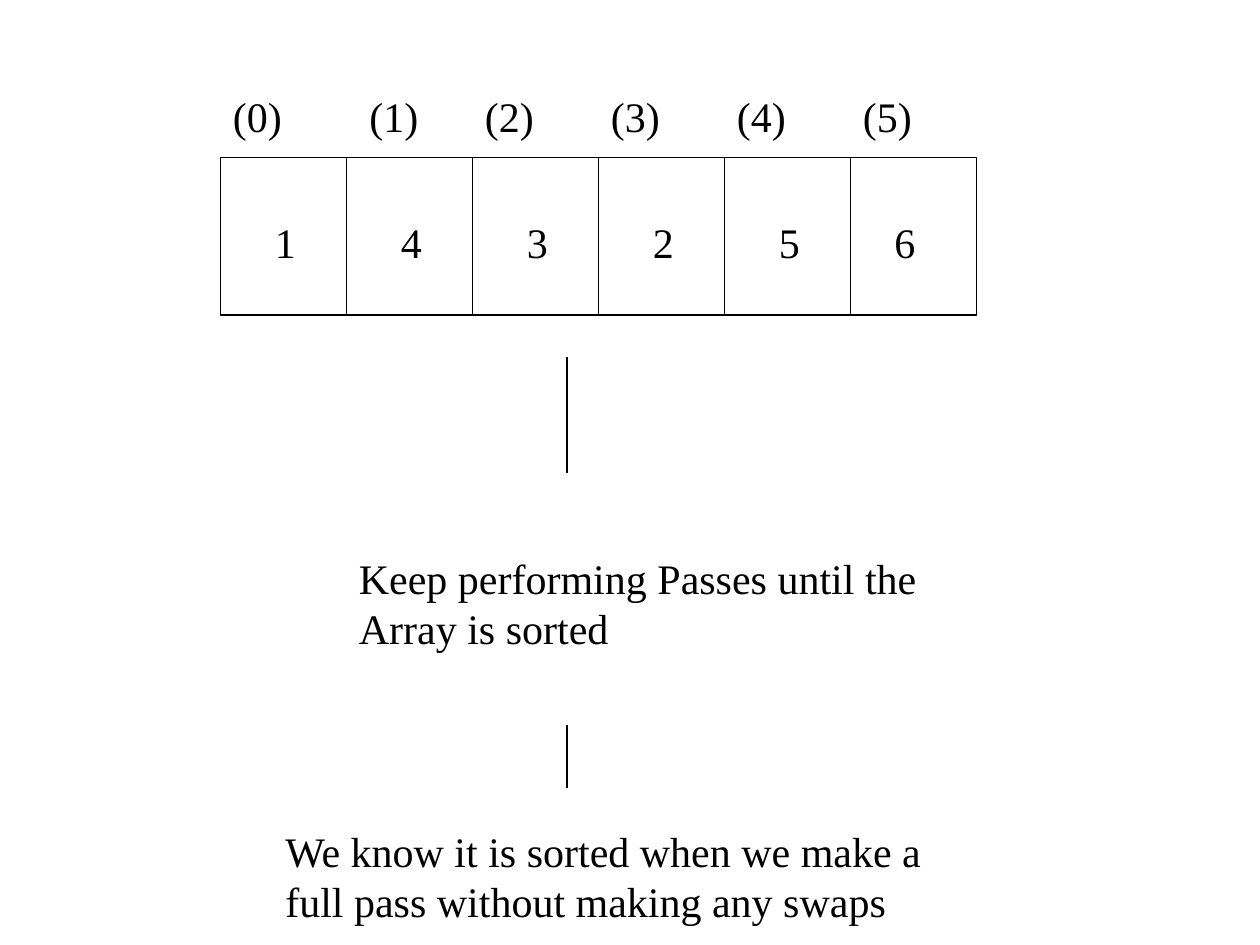
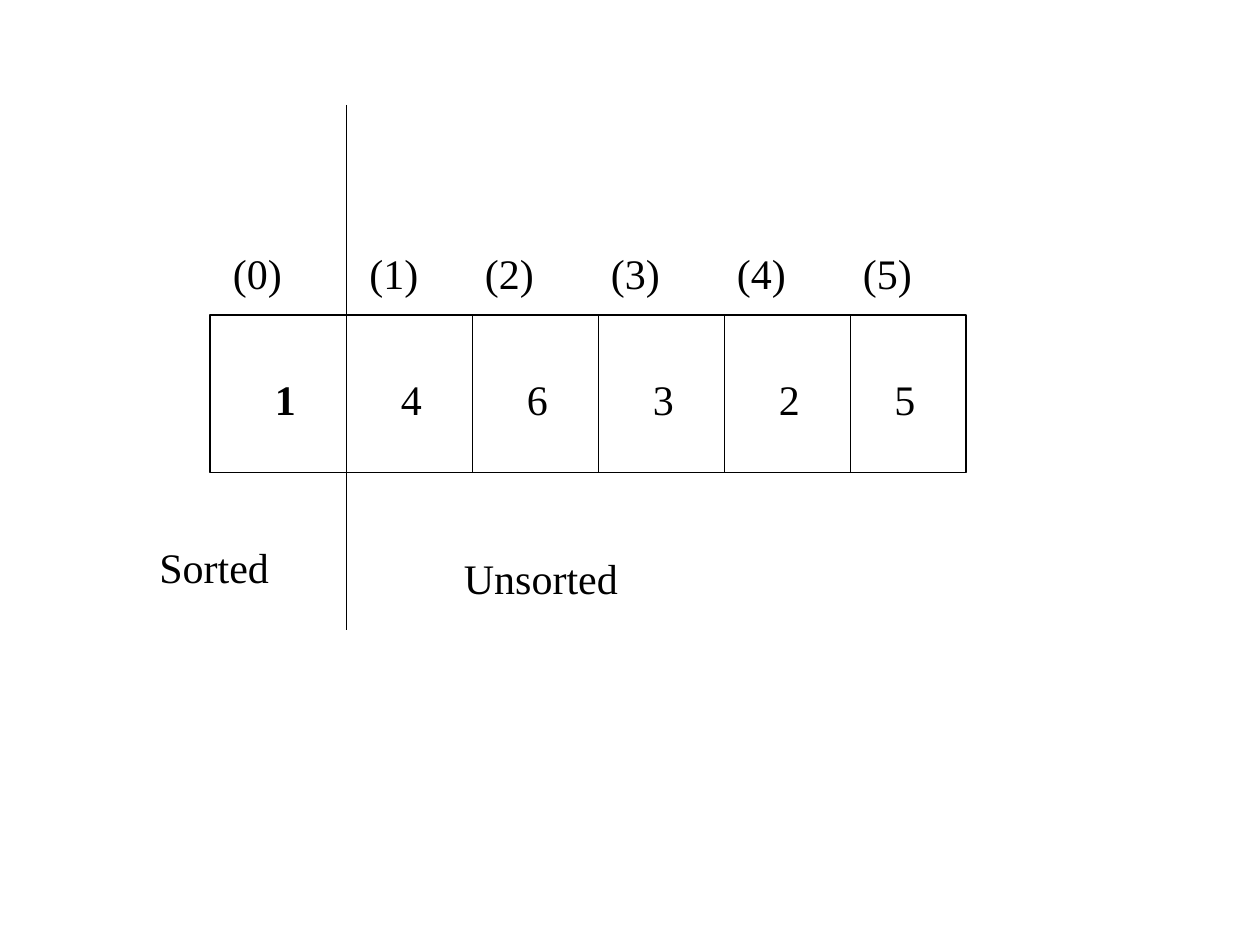
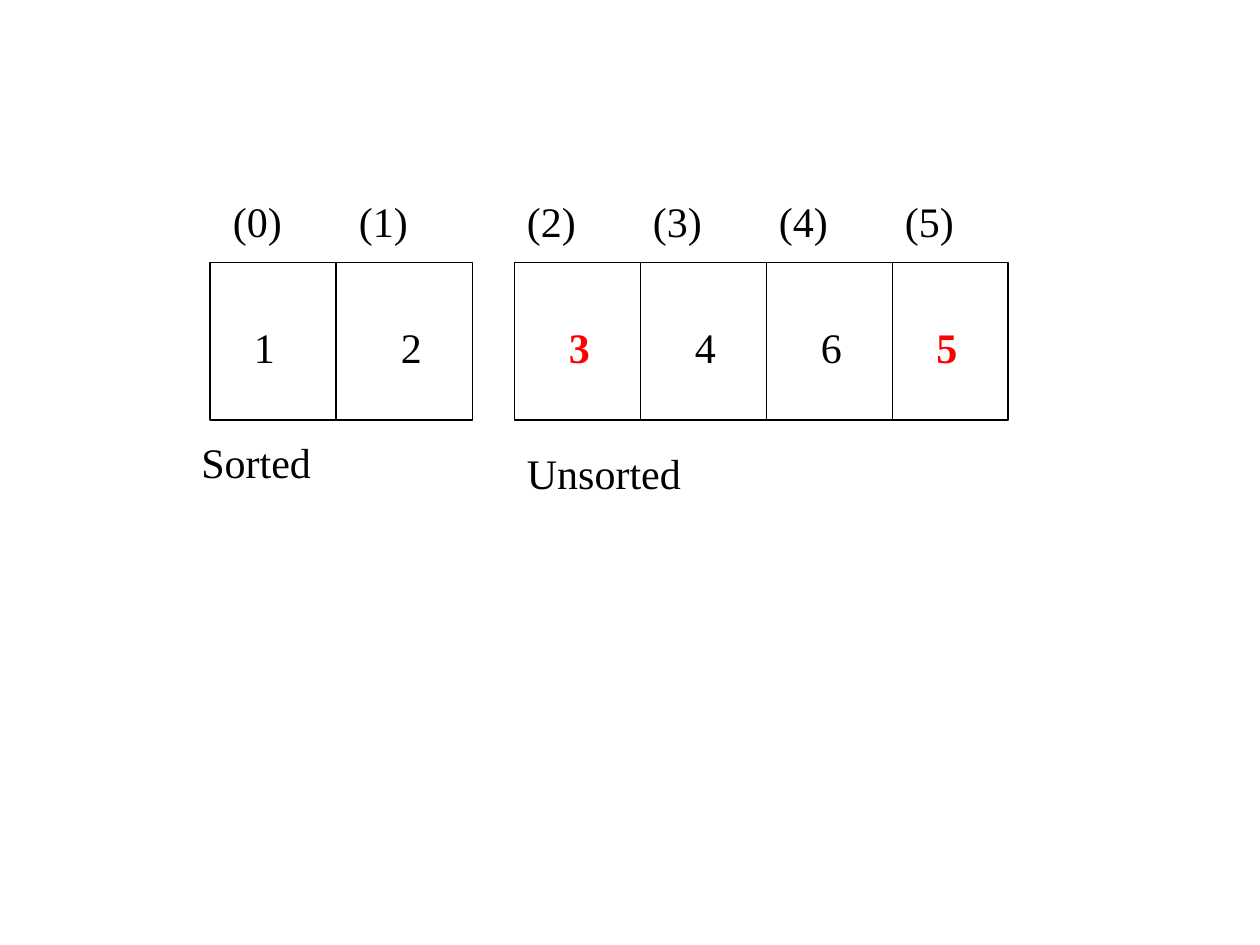
from itertools import accumulate

from lxml.etree import SubElement
from pptx import Presentation
from pptx.dml.color import RGBColor
from pptx.enum.shapes import MSO_CONNECTOR, MSO_SHAPE
from pptx.enum.text import MSO_AUTO_SIZE
from pptx.oxml.ns import qn
from pptx.util import Pt

BLACK = "000000"
RED = "FF0000"
FONT = "Times New Roman"
CELL_HEIGHT = 90
INDEX_WIDTHS = (60, 48, 48, 60, 66, 48)
VALUE_WIDTHS = (30, 36, 36, 30, 30, 42)


def color(value):
    """Turn a hex string into a colour."""
    return RGBColor.from_string(value)


def add_text(s, left, top, width, text, height=36, bold=False, ink=BLACK):
    """Add a text box in the shared style."""
    sp = s.shapes.add_textbox(Pt(left), Pt(top), Pt(width), Pt(height))
    tf = sp.text_frame
    tf.word_wrap = True
    tf.auto_size = MSO_AUTO_SIZE.SHAPE_TO_FIT_TEXT
    r = tf.paragraphs[0].add_run()
    r.text = text
    r.font.name = FONT
    r.font.size = Pt(24)
    r.font.bold = bold
    r.font.color.rgb = color(ink)


def add_line(s, x, top, bottom):
    """Add a thin vertical line."""
    line = s.shapes.add_connector(MSO_CONNECTOR.STRAIGHT, Pt(x), Pt(top), Pt(x), Pt(bottom))
    line.line.color.rgb = color(BLACK)
    line.line.width = Pt(0.75)
    SubElement(line._element.spPr, qn("a:effectLst"))
    return line


def add_array(s, left, top, widths, values, value_shifts, index_shifts,
              first=0, bold=(), ink=BLACK):
    """Draw a row of array cells with indices above, shifts counted from each cell."""
    edges = list(accumulate(widths, initial=left))
    width = sum(widths)
    frame = s.shapes.add_shape(MSO_SHAPE.RECTANGLE, Pt(left), Pt(top), Pt(width), Pt(CELL_HEIGHT))
    frame.shadow.inherit = False
    frame.fill.background()
    frame.line.color.rgb = color(BLACK)
    frame.line.width = Pt(0.75)
    for x in edges[1:-1]:
        divider = add_line(s, x, top, top + CELL_HEIGHT)
        if x == left + width / 2:
            divider.begin_connect(frame, 0)
            divider.end_connect(frame, 2)
    cells = zip(edges, values, value_shifts, index_shifts)
    for i, (x, value, value_shift, index_shift) in enumerate(cells, first):
        marked = value in bold
        add_text(s, x + index_shift, top - 42, INDEX_WIDTHS[i], f"({i})")
        add_text(s, x + value_shift, top + 30, VALUE_WIDTHS[i], value,
                 bold=marked, ink=ink if marked else BLACK)


def add_part_labels(s, sorted_left, unsorted_left, top):
    """Name the sorted and unsorted parts below an array."""
    add_text(s, sorted_left, top, 84, "Sorted")
    add_text(s, unsorted_left, top + 6, 114, "Unsorted")


def passes_slide(s):
    """Show the array after a pass and the rule for stopping."""
    add_array(s, 126, 90, [72] * 6, "143256", [24] * 5 + [18], [0, 6, 0, 0, 0, 0])
    add_line(s, 324, 204, 270)
    add_text(s, 198, 312, 342, "Keep performing Passes until the Array is sorted", 64.8)
    add_line(s, 324, 414, 450)
    add_text(s, 156, 468, 396,
             "We know it is sorted when we make a full pass without making any swaps", 64.8)


def boundary_slide(s):
    """Show the line between the sorted and unsorted parts."""
    add_array(s, 120, 180, [78] + [72] * 4 + [66], "146325",
              [30] + [24] * 4 + [18], [6, 6, 0, 0, 0, 0], bold="1")
    add_line(s, 198, 60, 360)
    add_part_labels(s, 84, 258, 306)


def split_slide(s):
    """Show the sorted and unsorted parts as separate arrays."""
    add_array(s, 120, 150, [72, 78], "12", [18, 30], [6, 6])
    add_array(s, 294, 150, [72] * 3 + [66], "3465", [24] * 3 + [18], [0] * 4,
              first=2, bold="35", ink=RED)
    add_part_labels(s, 108, 294, 246)


def main():
    """Build the deck."""
    prs = Presentation()
    prs.slide_width, prs.slide_height = Pt(720), Pt(540)
    for build in (passes_slide, boundary_slide, split_slide):
        build(prs.slides.add_slide(prs.slide_layouts[6]))
    prs.save("out.pptx")


if __name__ == "__main__":
    main()
